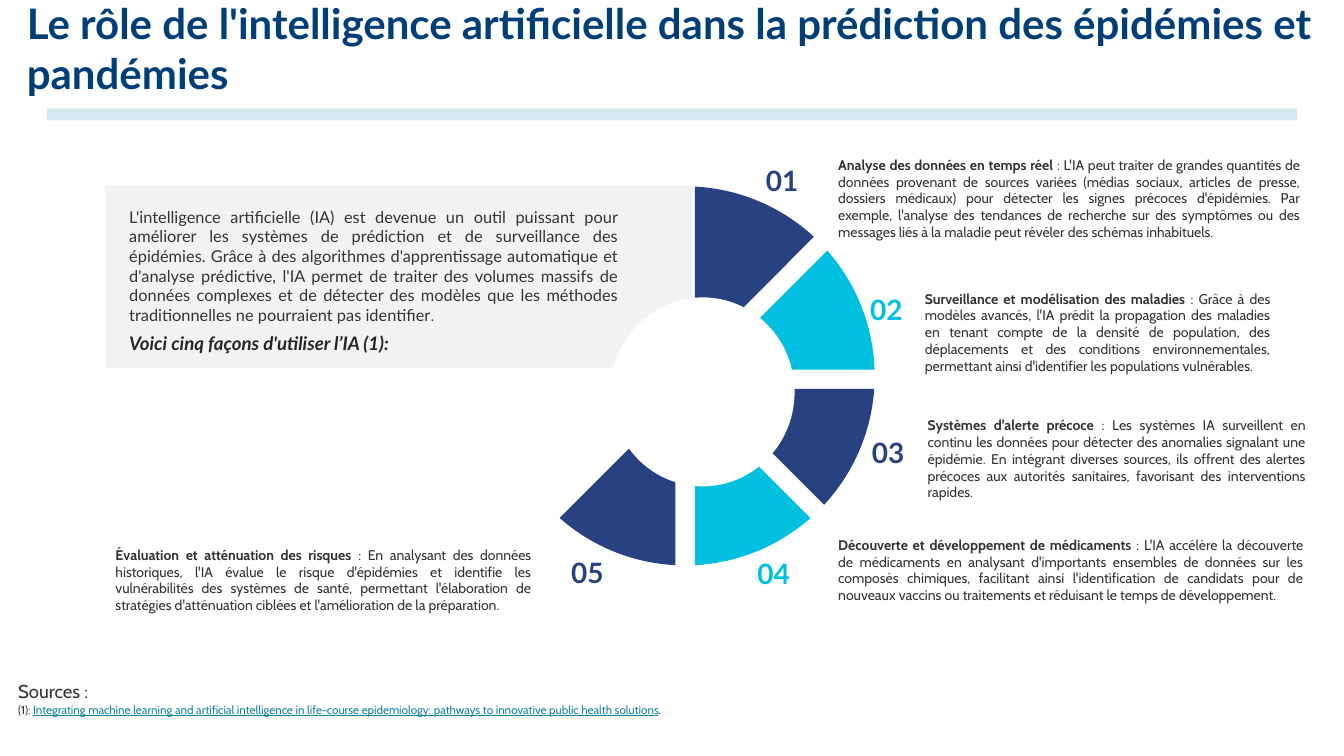
from math import cos, radians, sin, tan

from lxml.etree import SubElement
from pptx import Presentation
from pptx.dml.color import RGBColor
from pptx.enum.shapes import MSO_SHAPE as Shape
from pptx.enum.text import MSO_ANCHOR as Anchor
from pptx.enum.text import MSO_AUTO_SIZE as AutoSize
from pptx.enum.text import PP_ALIGN as Align
from pptx.oxml.ns import qn
from pptx.util import Pt

TITLE = "Le rôle de l'intelligence artificielle dans la prédiction des épidémies et pandémies"
INTRO = (
    "L'intelligence artificielle (IA) est devenue un outil puissant pour améliorer les systèmes "
    "de prédiction et de surveillance des épidémies. Grâce à des algorithmes d'apprentissage "
    "automatique et d'analyse prédictive, l'IA permet de traiter des volumes massifs de données "
    "complexes et de détecter des modèles que les méthodes traditionnelles ne pourraient pas identifier"
)
INTRO_CLOSE = "Voici cinq façons d'utiliser l’IA (1):"
SOURCE_HEADING = "Sources :"
SOURCE_NUMBER = "(1): "
SOURCE_TITLE = (
    "Integrating machine learning and artificial intelligence in life-course epidemiology: "
    "pathways to innovative public health solutions"
)

USES = [
    {
        "heading": "Analyse des données en temps réel",
        "detail": " : L'IA peut traiter de grandes quantités de données provenant de sources variées "
        "(médias sociaux, articles de presse, dossiers médicaux) pour détecter les signes précoces "
        "d'épidémies. Par exemple, l'analyse des tendances de recherche sur des symptômes ou des "
        "messages liés à la maladie peut révéler des schémas inhabituels. ",
        "box": (711.4, 130.5, 410.4, 94.3),
        "number_at": (649.4, 136.5),
        "apex": (595.6, 305.3),
        "angles": (2.96, 42.8),
    },
    {
        "heading": "Surveillance et modélisation des maladies",
        "detail": " : Grâce à des modèles avancés, l'IA prédit la propagation des maladies en tenant "
        "compte de la densité de population, des déplacements et des conditions environnementales, "
        "permettant ainsi d'identifier les populations vulnérables.",
        "box": (785.7, 245.2, 310.3, 94.3),
        "number_at": (738.7, 247),
        "apex": (607, 316.8),
        "angles": (48.6, 88.1),
    },
    {
        "heading": "Systèmes d'alerte précoce",
        "detail": " : Les systèmes IA surveillent en continu les données pour détecter des anomalies "
        "signalant une épidémie. En intégrant diverses sources, ils offrent des alertes précoces aux "
        "autorités sanitaires, favorisant des interventions rapides.",
        "box": (788.1, 353.7, 338.4, 79.9),
        "number_at": (740.2, 369.4),
        "apex": (607, 333.4),
        "angles": (93.9, 132.8),
    },
    {
        "heading": "Découverte et développement de médicaments",
        "detail": " : L'IA accélère la découverte de médicaments en analysant d'importants ensembles "
        "de données sur les composés chimiques, facilitant ainsi l'identification de candidats pour "
        "de nouveaux vaccins ou traitements et réduisant le temps de développement.",
        "box": (711.4, 456.2, 413.1, 79.9),
        "number_at": (642.2, 473.8),
        "apex": (595.6, 344.9),
        "angles": (138.6, 177.04),
    },
    {
        "heading": "Évaluation et atténuation des risques",
        "detail": " : En analysant des données historiques, l'IA évalue le risque d'épidémies et "
        "identifie les vulnérabilités des systèmes de santé, permettant l'élaboration de stratégies "
        "d'atténuation ciblées et l'amélioration de la préparation.",
        "box": (91.9, 464.8, 370.8, 79.9),
        "number_at": (482.4, 472.3),
        "apex": (578.9, 344.9),
        "angles": (182.9, 221.4),
    },
]

THEME = {
    "title": "003E78", "rule": "D5E7EF", "panel": "F2F2F2", "white": "FFFFFF",
    "wedges": ("284181", "00BFDF", "284181", "00BFDF", "284181"),
    "text": "333333", "strong": "262626", "link": "1282A2",
    "heading_font": "Lato", "body_font": "Cabin",
    "title_size": 36, "number_size": 24, "lead_size": 16,
    "intro_size": 14, "body_size": 12, "note_size": 10,
}
RING_CENTER = (587.2, 322.2)
RING_RADIUS = 162.5
UNITS = 100


def paint(shape, color):
    shape.shadow.inherit = False
    shape.fill.solid()
    shape.fill.fore_color.rgb = RGBColor.from_string(color)
    shape.line.fill.background()


def add_block(slide, kind, box, color):
    paint(slide.shapes.add_shape(kind, *map(Pt, box)), color)


def ring_point(turn, handle=0):
    across = sin(turn) + handle * cos(turn)
    down = handle * sin(turn) - cos(turn)
    return RING_CENTER[0] + RING_RADIUS * across, RING_CENTER[1] + RING_RADIUS * down


def add_wedge(slide, apex, angles, color):
    first, last = map(radians, angles)
    handle = 4 / 3 * tan((last - first) / 4)
    corners = [apex, ring_point(first), ring_point(first, handle),
               ring_point(last, -handle), ring_point(last)]
    start, *others = [(round(x * UNITS), round(y * UNITS)) for x, y in corners]
    builder = slide.shapes.build_freeform(*start, scale=Pt(1) / UNITS)
    builder.add_line_segments(others, close=True)
    wedge = builder.convert_to_shape()
    arc_lines = list(wedge.element.iter(qn("a:lnTo")))[1:4]
    outline = arc_lines[0].getparent()
    curve = SubElement(outline, qn("a:cubicBezTo"))
    outline.replace(arc_lines[0], curve)
    for line in arc_lines:
        curve.append(line[0])
    for line in arc_lines[1:]:
        outline.remove(line)
    paint(wedge, color)


def style(font, name=None, size=None, color=None, **flags):
    if name:
        font.name = name
    if size:
        font.size = Pt(size)
    if color:
        font.color.rgb = RGBColor.from_string(color)
    for flag, value in flags.items():
        setattr(font, flag, value)


def add_frame(slide, box):
    frame = slide.shapes.add_textbox(*map(Pt, box)).text_frame
    frame.word_wrap = True
    frame.auto_size = AutoSize.SHAPE_TO_FIT_TEXT
    return frame


def write(paragraph, runs, align=Align.LEFT, **look):
    paragraph.alignment = align
    style(paragraph.font, **look)
    for text, changes in runs:
        run = paragraph.add_run()
        run.text = text
        style(run.font, **changes)


def add_title(slide):
    frame = add_frame(slide, (23, 33.1, 1107.4, 51.1))
    frame.auto_size = AutoSize.NONE
    frame.vertical_anchor = Anchor.BOTTOM
    frame.margin_left = frame.margin_top = frame.margin_right = frame.margin_bottom = 0
    write(frame.paragraphs[0], [(TITLE, {})], name=THEME["heading_font"],
          size=THEME["title_size"], color=THEME["title"], bold=True)


def add_use(slide, number, use, color):
    body = add_frame(slide, use["box"])
    write(body.paragraphs[0], [(use["heading"], {"bold": True}), (use["detail"], {})],
          Align.JUSTIFY, name=THEME["body_font"], size=THEME["body_size"], color=THEME["text"])
    label = add_frame(slide, (*use["number_at"], 48.2, 36))
    write(label.paragraphs[0], [(f"{number:02}", {})], name=THEME["heading_font"],
          size=THEME["number_size"], color=color, bold=True)


def add_intro(slide):
    frame = add_frame(slide, (103.7, 173.9, 433.4, 134.6))
    write(frame.paragraphs[0], [(INTRO, {}), (".", {"size": THEME["body_size"]})], Align.JUSTIFY,
          name=THEME["heading_font"], size=THEME["intro_size"], color=THEME["text"])
    closing = frame.add_paragraph()
    closing.space_before = Pt(6)
    write(closing, [(INTRO_CLOSE, {})], name=THEME["heading_font"], size=THEME["lead_size"],
          color=THEME["strong"], bold=True, italic=True)


def add_sources(slide):
    paragraph = add_frame(slide, (8.4, 579.6, 999.4, 51.1)).paragraphs[0]
    write(paragraph, [(SOURCE_HEADING, {"size": THEME["lead_size"]})],
          name=THEME["body_font"], size=THEME["note_size"], color=THEME["text"])
    paragraph.add_line_break()
    write(paragraph, [(SOURCE_NUMBER, {}),
                      (SOURCE_TITLE, {"color": THEME["link"], "underline": True}),
                      (".", {})])


def main():
    presentation = Presentation()
    presentation.slide_width, presentation.slide_height = Pt(1152), Pt(648)
    slide = presentation.slides.add_slide(presentation.slide_layouts[6])
    add_block(slide, Shape.RECTANGLE, (40.3, 92.9, 1071.4, 10.4), THEME["rule"])
    add_title(slide)
    add_block(slide, Shape.RECTANGLE, (90.3, 159.2, 503.3, 156.2), THEME["panel"])
    for use, color in zip(USES, THEME["wedges"]):
        add_wedge(slide, use["apex"], use["angles"], color)
    add_block(slide, Shape.OVAL, (523.4, 254.9, 157.7, 162), THEME["white"])
    for number, (use, color) in enumerate(zip(USES, THEME["wedges"]), 1):
        add_use(slide, number, use, color)
    add_intro(slide)
    add_sources(slide)
    presentation.save("out.pptx")


if __name__ == "__main__":
    main()
